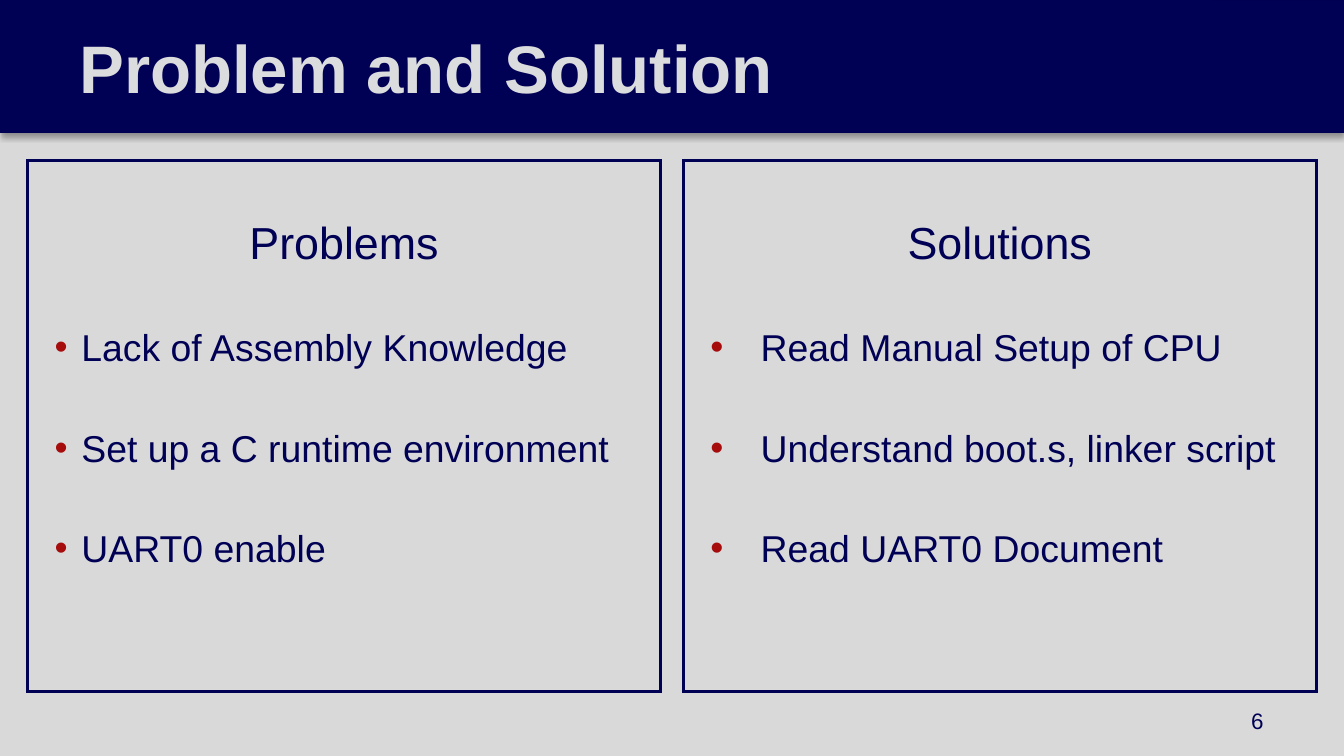
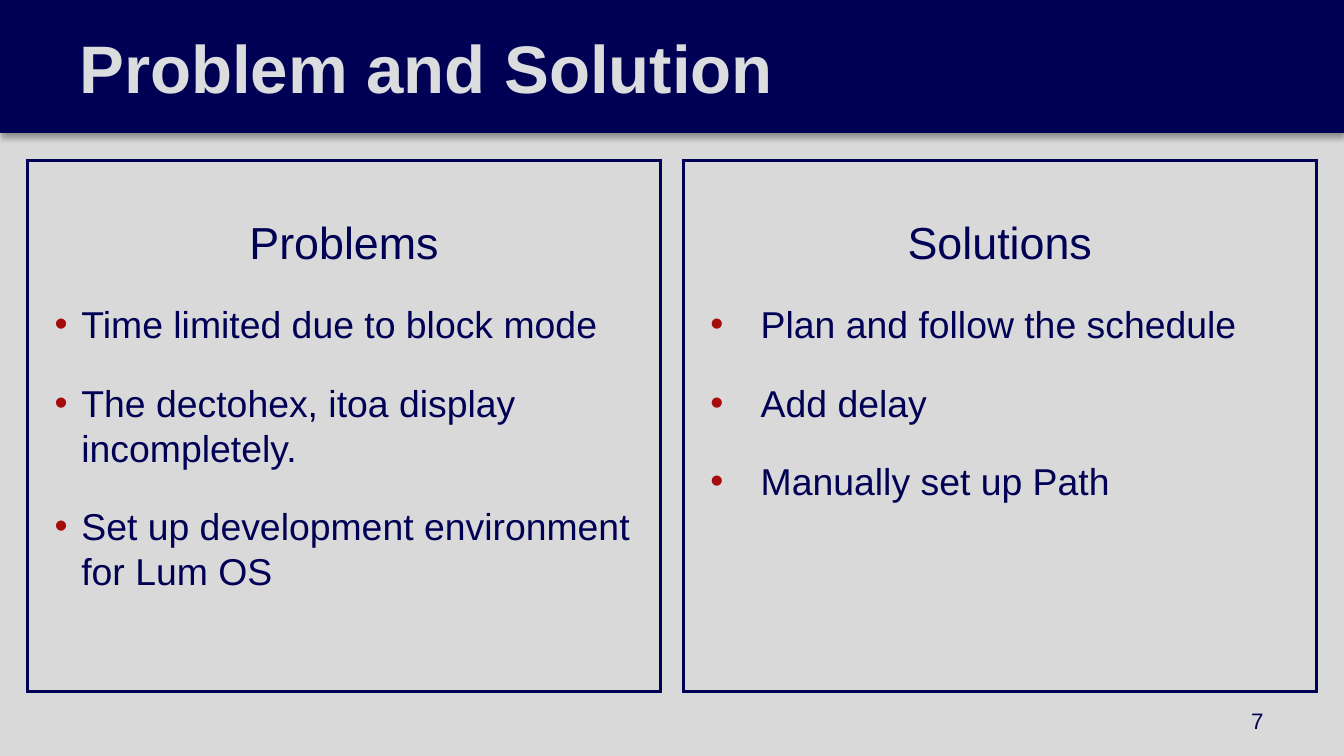
from lxml.etree import SubElement
from pptx import Presentation
from pptx.dml.color import RGBColor
from pptx.enum.shapes import MSO_SHAPE
from pptx.enum.text import MSO_ANCHOR, PP_ALIGN
from pptx.oxml import parse_xml
from pptx.oxml.ns import nsdecls, qn
from pptx.util import Pt

NAVY = RGBColor(0x00, 0x00, 0x54)
BAND_LINE = RGBColor(0x00, 0x00, 0x52)
GRAY = RGBColor(0xD9, 0xD9, 0xD9)
TITLE_GRAY = RGBColor(0xDB, 0xDC, 0xDD)
RED = RGBColor(0xA6, 0x0C, 0x0C)
FONT = "Arial"

WIDTH, HEIGHT = 720, 405
BAND_HEIGHT = 71
PANEL_TOP, PANEL_WIDTH, PANEL_HEIGHT = 86, 339, 284.6
PANEL_INSET = 14.4

# Each panel: heading, left edge, bullet indent
PANELS = [("Problems", 14.8, 14.4), ("Solutions", 366.1, 27)]

# Each slide: bullet line spacing, then the bullets of each panel
SLIDES = [
    (1.5, [
        ["Lack of Assembly Knowledge",
         "Set up a C runtime environment",
         "UART0 enable"],
        ["Read Manual Setup of CPU",
         "Understand boot.s, linker script",
         "Read UART0 Document"],
    ]),
    (1.0, [
        ["Time limited due to block mode",
         "The dectohex, itoa display incompletely.",
         "Set up development environment for Lum OS"],
        ["Plan and follow the schedule",
         "Add delay",
         "Manually set up Path"],
    ]),
]


def add_run(p, text, size, color=NAVY, bold=False):
    r = p.add_run()
    r.text = text
    r.font.name = FONT
    r.font.size = Pt(size)
    r.font.color.rgb = color
    r.font.bold = bold


def add_bullet(p, indent):
    pPr = p._p.get_or_add_pPr()
    pPr.set("marL", str(Pt(indent)))
    pPr.set("indent", str(-Pt(indent)))
    color = SubElement(pPr, qn("a:buClr"))
    SubElement(color, qn("a:srgbClr")).set("val", str(RED))
    SubElement(pPr, qn("a:buFont")).set("typeface", FONT)
    SubElement(pPr, qn("a:buChar")).set("char", "•")


prs = Presentation()
prs.slide_width, prs.slide_height = Pt(WIDTH), Pt(HEIGHT)

for number, (spacing, columns) in enumerate(SLIDES, start=6):
    s = prs.slides.add_slide(prs.slide_layouts[6])
    s.background.fill.solid()
    s.background.fill.fore_color.rgb = GRAY

    # Title band with a soft shadow below
    band = s.shapes.add_shape(MSO_SHAPE.RECTANGLE, 0, 0, Pt(WIDTH), Pt(BAND_HEIGHT))
    band.fill.solid()
    band.fill.fore_color.rgb = NAVY
    band.line.color.rgb = BAND_LINE
    band.line.width = Pt(0.75)
    band._element.spPr.append(parse_xml(
        f'<a:effectLst {nsdecls("a")}>'
        f'<a:outerShdw blurRad="{Pt(3.1)}" dist="{Pt(1.8)}" dir="5400000" rotWithShape="0">'
        '<a:srgbClr val="000000"><a:alpha val="35000"/></a:srgbClr>'
        '</a:outerShdw></a:effectLst>'))

    # Title
    title = s.shapes.add_textbox(0, 0, Pt(650), Pt(BAND_HEIGHT))
    title.fill.solid()
    title.fill.fore_color.rgb = NAVY
    tf = title.text_frame
    tf.word_wrap = True
    tf.vertical_anchor = MSO_ANCHOR.MIDDLE
    tf.margin_left = tf.margin_right = Pt(28.8)
    tf.margin_top = tf.margin_bottom = Pt(7.2)
    p = tf.paragraphs[0]
    p._p.get_or_add_pPr().set("marL", str(Pt(13.7)))
    add_run(p, "Problem and Solution", 36, TITLE_GRAY, bold=True)

    # Problem and solution panels
    for (heading, left, indent), bullets in zip(PANELS, columns):
        sp = s.shapes.add_shape(MSO_SHAPE.RECTANGLE, Pt(left), Pt(PANEL_TOP),
                                Pt(PANEL_WIDTH), Pt(PANEL_HEIGHT))
        sp.shadow.inherit = False
        sp.fill.background()
        sp.line.color.rgb = NAVY
        sp.line.width = Pt(1.5)
        SubElement(sp.line._get_or_add_ln(), qn("a:miter")).set("lim", "800000")
        tf = sp.text_frame
        tf.word_wrap = True
        tf.vertical_anchor = MSO_ANCHOR.TOP
        tf.margin_left = tf.margin_right = Pt(PANEL_INSET)
        tf.margin_top = tf.margin_bottom = Pt(PANEL_INSET)
        p = tf.paragraphs[0]
        p.alignment = PP_ALIGN.CENTER
        p.line_spacing = 1.5
        add_run(p, heading, 24)
        for bullet in bullets:
            p = tf.add_paragraph()
            add_bullet(p, indent)
            p.alignment = PP_ALIGN.LEFT
            p.line_spacing = spacing
            p.space_before = Pt(18)
            add_run(p, bullet, 20)

    # Slide number
    footer = s.shapes.add_textbox(Pt(516.2), Pt(375.1), Pt(167.8), Pt(21.6))
    tf = footer.text_frame
    tf.word_wrap = True
    tf.vertical_anchor = MSO_ANCHOR.MIDDLE
    p = tf.paragraphs[0]
    p.alignment = PP_ALIGN.RIGHT
    add_run(p, str(number), 12)

prs.save("out.pptx")
